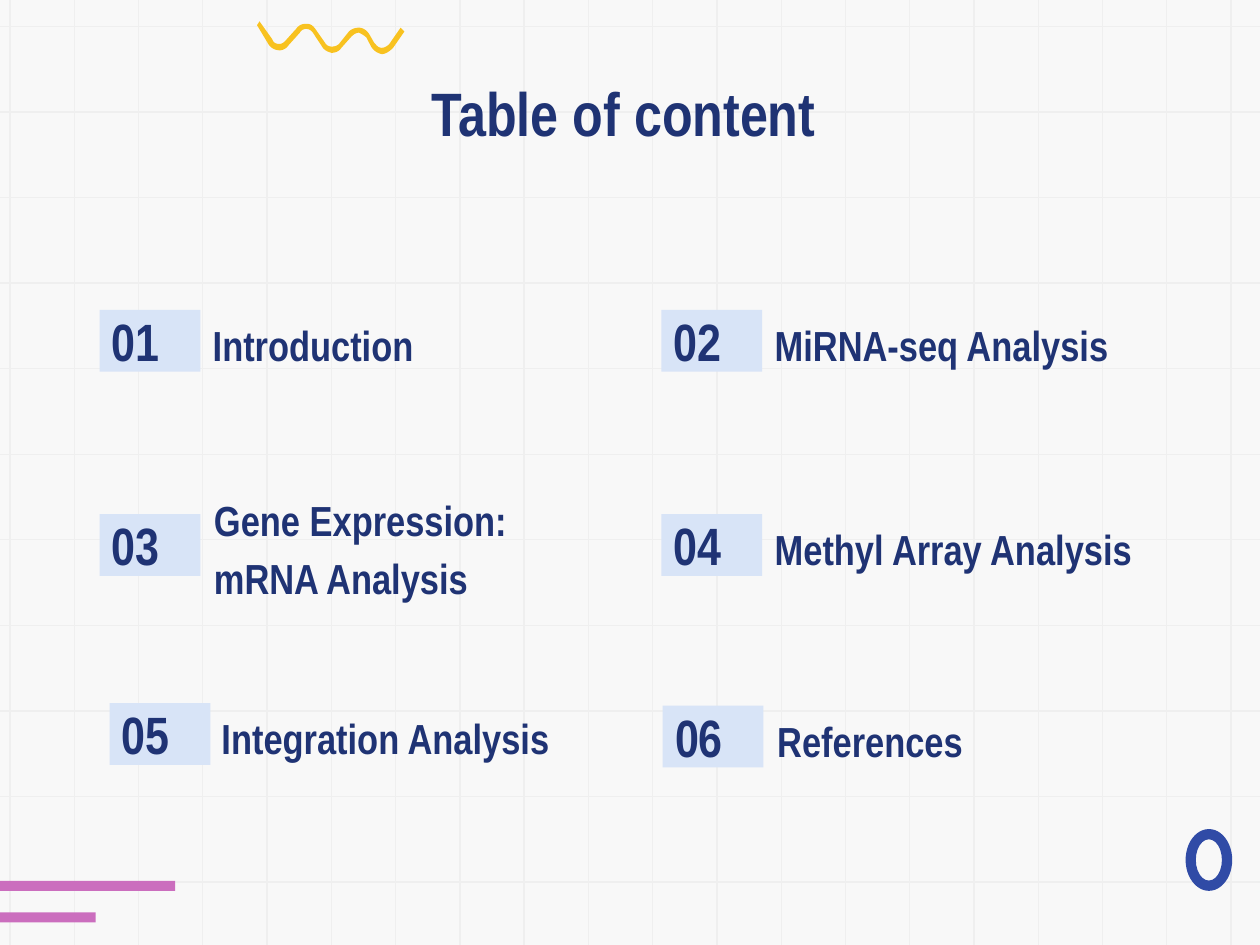
from lxml import etree
from pptx import Presentation
from pptx import util as u
from pptx.dml.color import RGBColor
from pptx.enum import shapes, text
from pptx.oxml import ns

PX = 9144
PAPER = RGBColor(0xF8, 0xF8, 0xF8)
GRID = RGBColor(0xEF, 0xEF, 0xEF)
PINK = RGBColor(0xCB, 0x6E, 0xBE)
BLUE = RGBColor(0x30, 0x4B, 0xA6)
GOLD = RGBColor(0xF8, 0xC2, 0x20)
NAVY = RGBColor(0x1F, 0x33, 0x74)
PALE = RGBColor(0xD8, 0xE4, 0xF7)

FRAME = {"word_wrap": True, "margin_left": 10 * PX, "margin_right": 10 * PX,
         "margin_top": 10 * PX, "margin_bottom": 10 * PX}
FONT = {"name": "Arial Narrow", "bold": True}
LEFT, MID = text.PP_ALIGN.LEFT, text.MSO_ANCHOR.MIDDLE

WAVE = [
    (2, 0), (0, 3), (9, 18), (11, 21, 14, 23, 18, 23), (20, 23, 23, 22, 25, 19),
    (34, 9), (35, 7, 37, 6, 39, 6), (42, 6, 44, 8, 45, 10),
    (51, 19), (53, 23, 56, 24, 59, 25), (62, 25, 65, 24, 67, 21),
    (75, 12), (77, 10, 79, 9, 81, 9), (83, 10, 85, 11, 87, 13),
    (90, 19), (92, 23, 95, 25, 99, 26), (102, 26, 105, 24, 108, 21),
    (117, 8), (114, 5), (105, 18), (103, 20, 101, 21, 99, 21),
    (96, 21, 95, 19, 93, 17), (89, 10), (87, 7, 84, 5, 81, 5),
    (78, 5, 75, 6, 73, 8), (65, 18), (64, 19, 62, 20, 60, 20),
    (59, 20), (57, 20, 55, 19, 54, 17), (47, 7), (45, 4, 43, 2, 40, 2),
    (38, 2), (36, 2, 33, 3, 31, 6), (22, 16), (21, 17, 19, 18, 18, 18),
    (15, 18, 13, 17, 12, 14),
]

TOPICS = [
    (79, 246, 80, "01", "Introduction"),
    (525, 246, 80, "02", "MiRNA-seq Analysis"),
    (79, 408, 81, "03", "Gene Expression: mRNA Analysis "),
    (525, 408, 80, "04", "Methyl Array Analysis"),
    (87, 558, 79, "05", "Integration Analysis"),
    (526, 560, 81, "06", "References"),
]


def emu(*nums):
    """Turn px lengths into EMU."""
    return [u.Emu(round(n * PX)) for n in nums]


def apply(item, vals):
    """Set each named value on an item."""
    for key, val in vals.items():
        setattr(item, key, val)


def paint(shape, color):
    """Give a shape a flat fill with no line or shadow."""
    shape.shadow.inherit = False
    shape.fill.solid()
    shape.fill.fore_color.rgb = color
    shape.line.fill.background()


def write(shape, words, size, align=LEFT, anchor=MID, space=1.0):
    """Put one styled paragraph into a shape."""
    frame = shape.text_frame
    apply(frame, {**FRAME, "vertical_anchor": anchor})
    para = frame.paragraphs[0]
    apply(para, {"alignment": align, "line_spacing": space})
    run = para.add_run()
    run.text = words
    apply(run.font, {**FONT, "size": u.Pt(size)})
    run.font.color.rgb = NAVY


def block(slide, kind, color, *box):
    """Add a flat preset shape in a px box."""
    shape = slide.shapes.add_shape(kind, *emu(*box))
    paint(shape, color)
    return shape


def rule(slide, *ends):
    """Add one grid line."""
    line = slide.shapes.add_connector(shapes.MSO_CONNECTOR.STRAIGHT, *emu(*ends))
    line.line.color.rgb = GRID
    line.line.width = u.Pt(0.75)
    etree.SubElement(line._element.spPr, ns.qn("a:effectLst"))


def grid(slide, left, top, wide, high):
    """Rule the page as squared paper."""
    for row in range(11):
        y = top + 21 + 67.9 * row
        rule(slide, left + wide, y, left, y)
    for col in range(20):
        x = left + 8 + 51 * col
        rule(slide, x, top - 24, x, top + high + 24)


def curve(start, ctrl, steps=8):
    """Sample a cubic curve as points."""
    (ax, ay), (bx, by, cx, cy, dx, dy) = start, ctrl
    for step in range(1, steps + 1):
        t = step / steps
        w = (1 - t) ** 3, 3 * t * (1 - t) ** 2, 3 * t * t * (1 - t), t ** 3
        yield (sum(k * v for k, v in zip(w, (ax, bx, cx, dx))),
               sum(k * v for k, v in zip(w, (ay, by, cy, dy))))


def wave(slide, left, top):
    """Draw the wavy ribbon from its top left corner."""
    dots = [WAVE[0]]
    for part in WAVE[1:]:
        dots.extend([part] if len(part) == 2 else list(curve(dots[-1], part)))
    spots = [emu(left + x, top + y) for x, y in dots]
    form = slide.shapes.build_freeform(*spots[0], scale=1.0)
    form.add_line_segments(spots[1:], close=True)
    paint(form.convert_to_shape(), GOLD)


def decor(slide, left, top):
    """Place the bars, ring and ribbon around the page."""
    rect = shapes.MSO_SHAPE.RECTANGLE
    block(slide, rect, PINK, left, top + 699, 139, 8)
    block(slide, rect, PINK, left, top + 724, 76, 8)
    ring = block(slide, shapes.MSO_SHAPE.DONUT, BLUE, left + 941, top + 658, 37, 49)
    ring.adjustments[0] = 0.22
    wave(slide, left + 204, top + 17)


def title(slide, *box):
    """Write the centred heading."""
    write(slide.shapes.add_textbox(*emu(*box)), "Table of content ", 35,
          text.PP_ALIGN.CENTER, text.MSO_ANCHOR.TOP)


def topic(slide, left, top, shift, num, name):
    """Place a numbered tile and its label."""
    tile = block(slide, shapes.MSO_SHAPE.RECTANGLE, PALE, left, top, 80, 49)
    write(tile, num, 30)
    label = slide.shapes.add_textbox(*emu(left + shift, top, 316, 49))
    write(label, name, 24, space=1.15)


def main():
    """Build and save the slide."""
    deck = Presentation()
    deck.slide_width, deck.slide_height = emu(1000, 750)
    slide = deck.slides.add_slide(deck.slide_layouts[6])
    slide.background.fill.solid()
    slide.background.fill.fore_color.rgb = PAPER
    grid(slide, 0, 0, 1000, 750)
    decor(slide, 0, 0)
    title(slide, 79, 50, 843, 63)
    for entry in TOPICS:
        topic(slide, *entry)
    deck.save("out.pptx")


if __name__ == "__main__":
    main()
